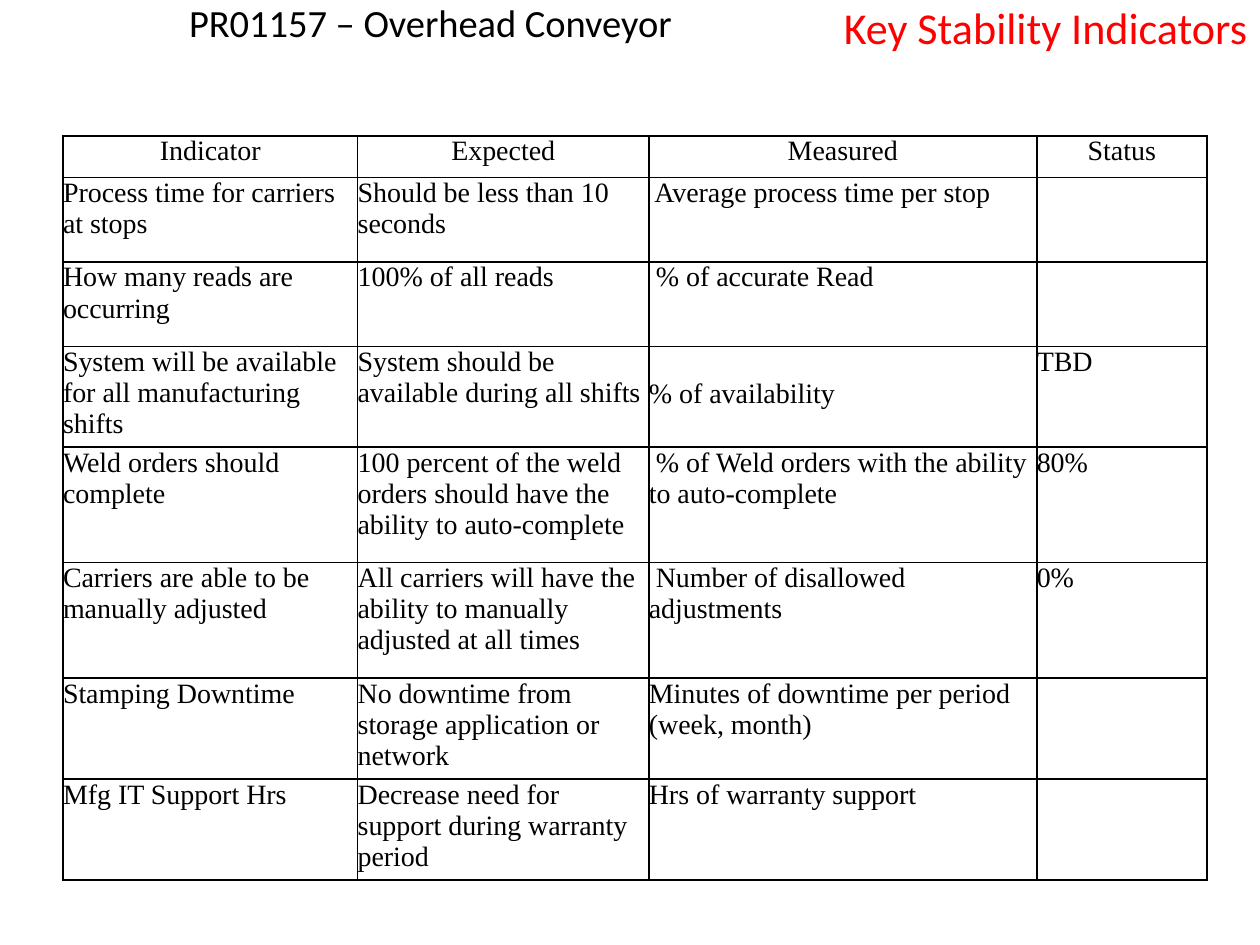
from dataclasses import dataclass

from lxml.etree import SubElement
from pptx import Presentation
from pptx.dml.color import RGBColor
from pptx.enum.text import MSO_ANCHOR as Anchor, PP_ALIGN as Align
from pptx.oxml.ns import qn
from pptx.util import Cm, Pt

BLACK = RGBColor(0x00, 0x00, 0x00)
RED = RGBColor(0xFF, 0x00, 0x00)
THIN, THICK = Pt(1), Pt(1.5)


@dataclass
class Row:
    height: float
    texts: tuple[str, str, str, str]


@dataclass
class Head:
    text: str
    left: float
    width: float
    size: float
    color: RGBColor
    align: Align
    spacing: float = 1.0


TITLE = Head("Key Stability Indicators", 14.6, 10.8, 25.2, RED, Align.RIGHT)
PROJECT = Head("PR01157 – Overhead Conveyor", 3.38, 10.6, 22, BLACK, Align.CENTER, 0.8)

WIDTHS = (5.94, 5.87, 7.82, 3.43)
ROWS = (
    Row(0.84, ("Indicator", "Expected", "Measured", "Status")),
    Row(1.7, ("Process time for carriers at stops", "Should be less than 10 seconds",
              " Average process time per stop", "")),
    Row(1.7, ("How many reads are occurring", "100% of all reads",
              " % of accurate Read", "")),
    Row(2.0, ("System will be available for all manufacturing shifts",
              "System should be available during all shifts",
              "% of availability", "TBD")),
    Row(2.33, ("Weld orders should complete",
               "100 percent of the weld orders should have the ability to auto-complete",
               " % of Weld orders with the ability to auto-complete", "80%")),
    Row(2.33, ("Carriers are able to be manually adjusted",
               "All carriers will have the ability to manually adjusted at all times",
               " Number of disallowed adjustments", "0%")),
    Row(1.75, ("Stamping Downtime", "No downtime from storage application or network",
               "Minutes of downtime per period (week, month)", "")),
    Row(1.75, ("Mfg IT Support Hrs", "Decrease need for support during warranty period",
               "Hrs of warranty support", "")),
)
LOWERED = (3, 2)  # cell whose text starts one line down


def style(para, face: str, size: float, color: RGBColor, align: Align) -> None:
    para.alignment = align
    para.font.name = face
    para.font.size = Pt(size)
    para.font.color.rgb = color


def draw_head(shape, head: Head) -> None:
    shape.left, shape.top = Cm(head.left), Cm(0)
    shape.width, shape.height = Cm(head.width), Cm(1.07)
    frame = shape.text_frame
    frame.text = head.text
    frame.word_wrap = True
    frame.vertical_anchor = Anchor.MIDDLE
    para = frame.paragraphs[0]
    style(para, "Calibri", head.size, head.color, head.align)
    para.line_spacing = head.spacing


def set_edges(cell, row: int, col: int) -> None:
    """Thin lines inside the table, thick ones around it."""
    outer = {"L": col == 0, "R": col == len(WIDTHS) - 1,
             "T": row == 0, "B": row == len(ROWS) - 1}
    props = cell._tc.get_or_add_tcPr()
    for side, thick in outer.items():
        line = SubElement(props, qn(f"a:ln{side}"), w=str(THICK if thick else THIN))
        fill = SubElement(line, qn("a:solidFill"))
        SubElement(fill, qn("a:srgbClr"), val=str(BLACK))


def draw_cell(cell, text: str, row: int, col: int) -> None:
    set_edges(cell, row, col)
    cell.fill.background()
    cell.margin_left = cell.margin_right = cell.margin_bottom = Cm(0)
    cell.margin_top = Cm(0.65 if (row, col) == LOWERED else 0)
    cell.text = text
    align = Align.CENTER if row == 0 else Align.LEFT
    style(cell.text_frame.paragraphs[0], "Times New Roman", 16, BLACK, align)


def draw_table(slide) -> None:
    frame = slide.shapes.add_table(
        len(ROWS), len(WIDTHS), Cm(1.27), Cm(2.74),
        Cm(sum(WIDTHS)), Cm(sum(row.height for row in ROWS)))
    table = frame.table
    table.first_row = table.horz_banding = False
    for col, width in enumerate(WIDTHS):
        table.columns[col].width = Cm(width)
    for r, row in enumerate(ROWS):
        table.rows[r].height = Cm(row.height)
        for c, text in enumerate(row.texts):
            draw_cell(table.cell(r, c), text, r, c)


def main() -> None:
    deck = Presentation()
    deck.slide_width, deck.slide_height = Cm(25.4), Cm(19.05)
    slide = deck.slides.add_slide(deck.slide_layouts[5])

    # Headings
    draw_head(slide.shapes.title, TITLE)
    draw_head(slide.shapes.add_textbox(0, 0, 0, 0), PROJECT)

    # Indicators
    draw_table(slide)
    deck.save("out.pptx")


if __name__ == "__main__":
    main()
